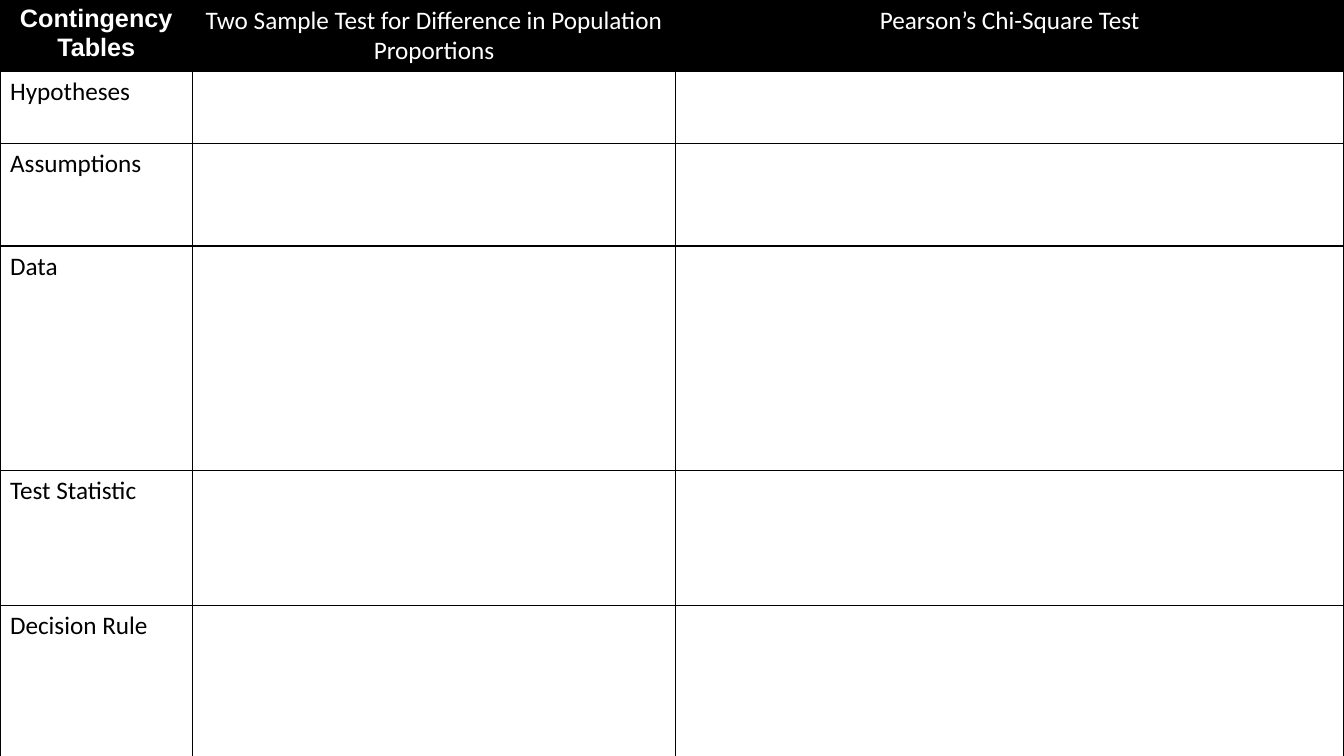
import pptx
import pptx.dml.color
import pptx.enum.text
import pptx.oxml
import pptx.oxml.ns
import pptx.util
from pptx.util import Inches

BLACK, WHITE = "000000", "FFFFFF"
COLS = [1.91, 4.79, 6.63]
ROWS = [0.71, 0.71, 1.02, 2.23, 1.34, 1.59]
HEADS = [
    "Contingency Tables",
    "Two Sample Test for Difference in Population Proportions",
    "Pearson’s Chi-Square Test",
]
STEPS = ["Hypotheses", "Assumptions", "Data", "Test Statistic", "Decision Rule"]


def color(code):
    return pptx.dml.color.RGBColor.from_string(code)


class Deck:
    """Holds the text style and the current slide."""

    def __init__(self, font, size):
        self.font, self.size = font, size
        self.show = pptx.Presentation()
        self.show.slide_width = Inches(13.33)
        self.show.slide_height = Inches(7.5)
        self.slide = self.show.slides.add_slide(self.show.slide_layouts[6])

    def grid(self, cols, rows):
        frame = self.slide.shapes.add_table(
            len(rows), len(cols), 0, 0, Inches(sum(cols)), Inches(sum(rows)))
        table = frame.table
        for col, width in zip(table.columns, cols):
            col.width = Inches(width)
        for row, height in zip(table.rows, rows):
            row.height = Inches(height)
        return table

    def edge(self, cell, line=BLACK, width=1):
        props = cell._tc.get_or_add_tcPr()
        for side in "LRTB":
            props.append(pptx.oxml.parse_xml(
                f'<a:ln{side} {pptx.oxml.ns.nsdecls("a")} w="{pptx.util.Pt(width)}">'
                f'<a:solidFill><a:srgbClr val="{line}"/></a:solidFill></a:ln{side}>'))

    def cell(self, cell, text, ink, fill, align, font=None, bold=False):
        self.edge(cell)
        cell.fill.solid()
        cell.fill.fore_color.rgb = color(fill)
        cell.text = text
        para = cell.text_frame.paragraphs[0]
        para.alignment = align
        para.font.name = font or self.font
        para.font.size = pptx.util.Pt(self.size)
        para.font.bold = bold
        para.font.color.rgb = color(ink)


def main():
    deck = Deck("Calibri", 18)
    table = deck.grid(COLS, ROWS)
    align = pptx.enum.text.PP_ALIGN

    # Header row
    for col, head in enumerate(HEADS):
        first = col == 0
        deck.cell(table.cell(0, col), head, WHITE, BLACK, align.CENTER,
                  "Arial" if first else None, first)

    # Test steps, with empty cells to fill in
    for row, step in enumerate(STEPS, 1):
        for col, text in enumerate([step, "", ""]):
            deck.cell(table.cell(row, col), text, BLACK, WHITE, align.LEFT)

    deck.show.save("out.pptx")


if __name__ == "__main__":
    main()
